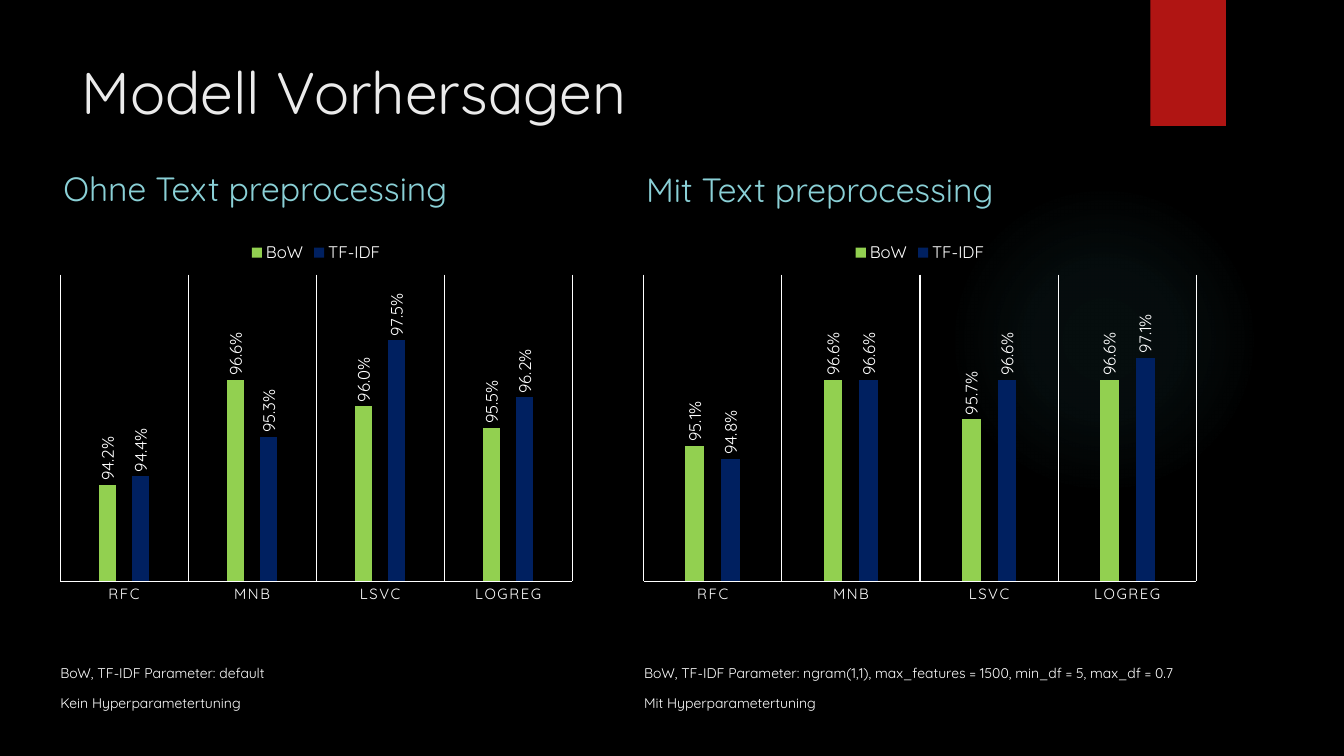
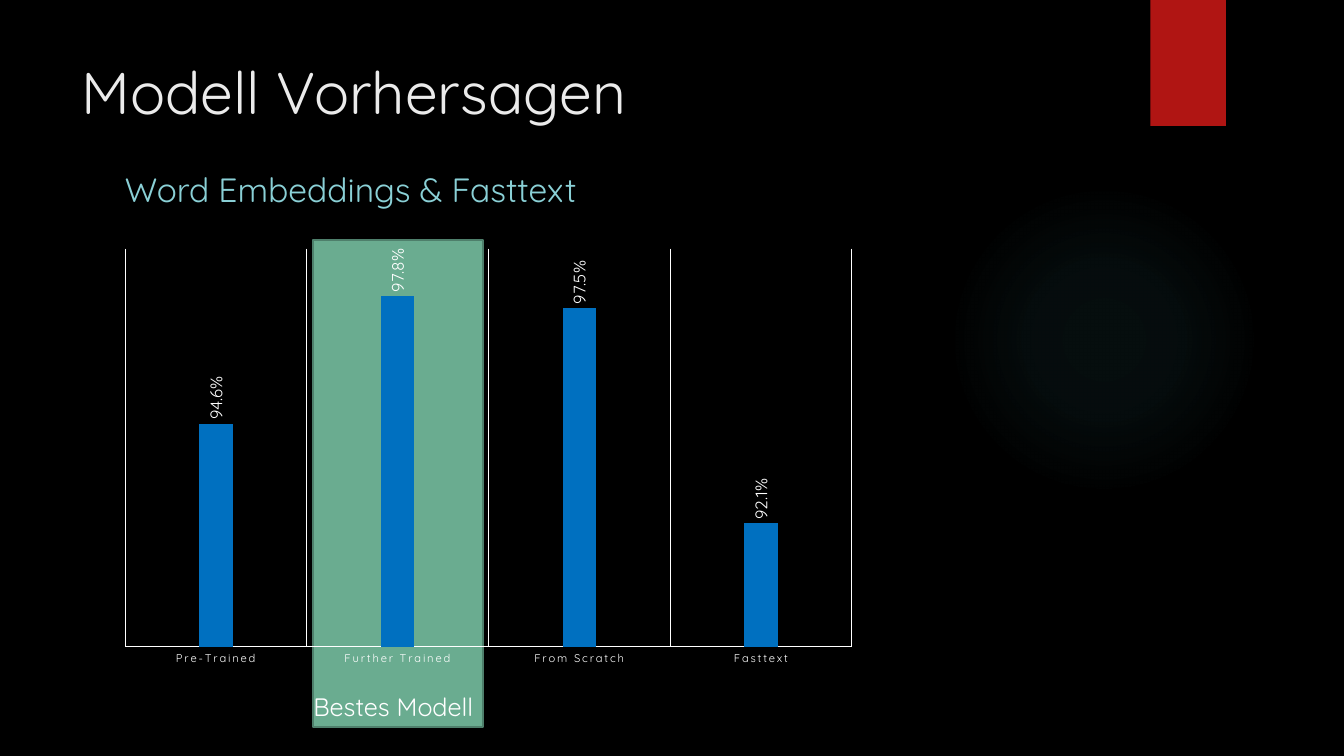
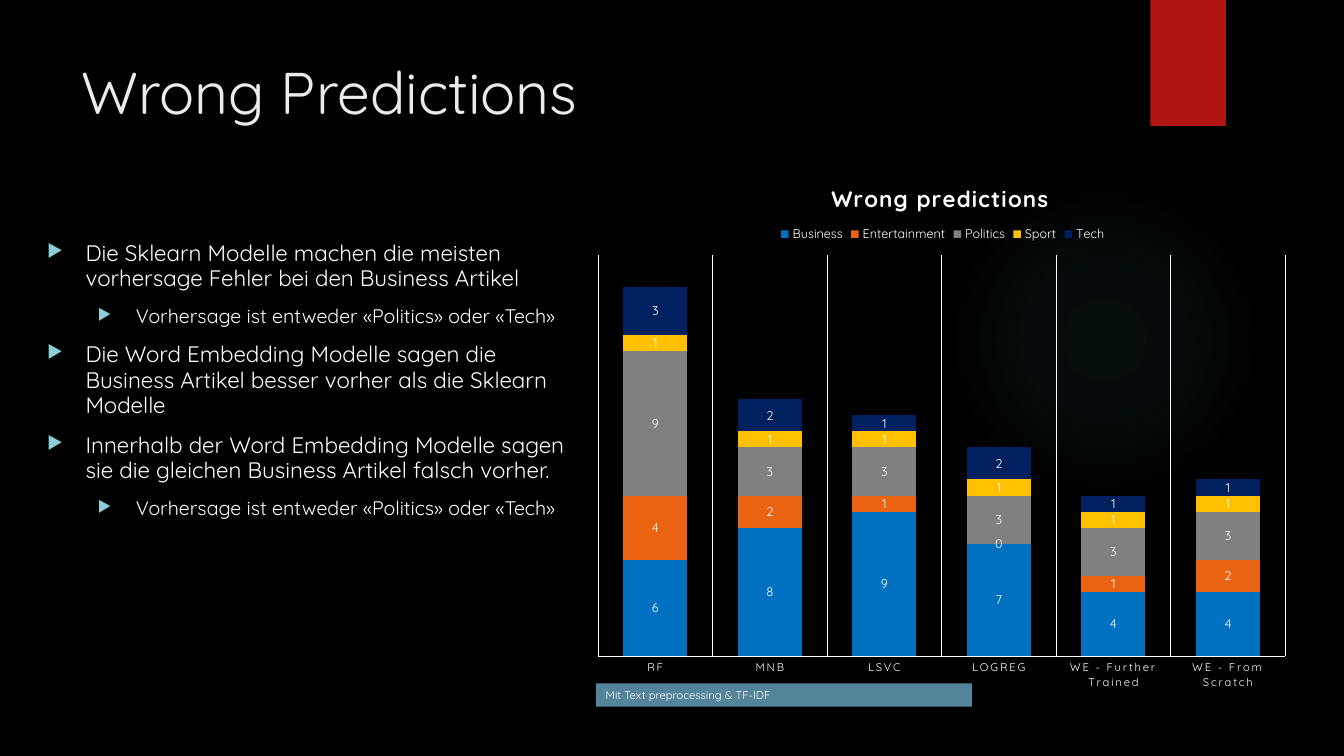
"""Build three slides on the results of text classification models."""
from dataclasses import dataclass

from pptx import Presentation
from pptx import util as u
from pptx.chart import data as chart_data
from pptx.dml.color import RGBColor
from pptx.enum import chart as charts, shapes, text
from pptx.oxml import parse_xml
from pptx.oxml.ns import nsdecls, qn

PX = 9144


@dataclass(frozen=True)
class Theme:
    """Colours and type sizes of the presentation."""
    font: str = "Quicksand"
    background: str = "000000"
    heading: str = "EBEBEB"
    accent: str = "8AD0D6"
    body: str = "FFFFFF"
    tag: str = "B01513"
    glow: str = "50B9C1"
    highlight: str = "6AAC90"
    highlight_line: str = "4E7F6B"
    caption_bar: str = "54849A"
    green: str = "92D050"
    navy: str = "002060"
    blue: str = "0070C0"
    orange: str = "EA6312"
    grey: str = "808080"
    yellow: str = "FFC000"
    title_size: float = 42
    subtitle_size: float = 24
    callout_size: float = 18
    list_sizes: tuple = (16, 14)
    chart_title_size: float = 16
    label_size: float = 12
    axis_size: float = 10.6
    note_size: float = 10
    small_size: float = 9
    tiny_size: float = 8


def apply(target, values):
    """Set each named attribute on the target."""
    for name, value in values.items():
        setattr(target, name, value)


def paint(fill, color):
    """Fill with one solid colour."""
    fill.solid()
    fill.fore_color.rgb = RGBColor.from_string(color)


def place(element, index, x, y, size=None):
    """Give a chart part a manual layout in fractions of the chart."""
    for layout in element.findall(qn("c:layout")):
        element.remove(layout)
    target = '<c:layoutTarget val="inner"/>' if size else ""
    extent = '<c:w val="%s"/><c:h val="%s"/>' % size if size else ""
    element.insert(index, parse_xml(
        f'<c:layout {nsdecls("c")}><c:manualLayout>{target}'
        f'<c:xMode val="edge"/><c:yMode val="edge"/>'
        f'<c:x val="{x}"/><c:y val="{y}"/>{extent}</c:manualLayout></c:layout>'))


class Deck:
    """Holds the style and the current slide."""

    def __init__(self, theme):
        """Start an empty presentation with the shared background."""
        self.theme = theme
        self.presentation = Presentation()
        apply(self.presentation, {"slide_width": 1333 * PX, "slide_height": 750 * PX})
        paint(self.presentation.slide_master.background.fill, theme.background)
        self.slide = None

    def style(self, font, size, color=None, **extra):
        """Apply the deck typeface with a size and a colour."""
        apply(font, {"name": self.theme.font, "size": u.Pt(size), **extra})
        font.color.rgb = RGBColor.from_string(color or self.theme.body)

    def new_slide(self, title):
        """Add a slide with its glow, corner tag and title."""
        self.slide = self.presentation.slides.add_slide(self.presentation.slide_layouts[6])
        self.glow((941, 183, 308, 308))
        self.block((1141, 0, 75, 125), self.theme.tag)
        self.text((71, 50, 1029, 153), [title], self.theme.title_size,
                  self.theme.heading, text.MSO_ANCHOR.TOP)

    def block(self, box, color=None, line=None, kind=shapes.MSO_SHAPE.RECTANGLE):
        """Add a plain shape with an optional outline."""
        shape = self.slide.shapes.add_shape(kind, *(n * PX for n in box))
        shape.shadow.inherit = False
        if color:
            paint(shape.fill, color)
        if line:
            paint(shape.line.fill, line)
            shape.line.width = u.Pt(1.5)
        else:
            shape.line.fill.background()
        return shape

    def glow(self, box):
        """Add a faint radial light."""
        shape = self.block(box, kind=shapes.MSO_SHAPE.OVAL)
        stops = "".join(
            f'<a:gs pos="{position * 1000}"><a:srgbClr val="{self.theme.glow}">'
            f'<a:alpha val="{alpha * 1000}"/></a:srgbClr></a:gs>'
            for position, alpha in ((0, 7), (36, 6), (69, 0)))
        shape.element.spPr.insert(2, parse_xml(
            f'<a:gradFill {nsdecls("a")}><a:gsLst>{stops}</a:gsLst><a:path path="circle">'
            '<a:fillToRect l="50000" t="50000" r="50000" b="50000"/></a:path></a:gradFill>'))

    def label(self, shape, lines, size, color=None, anchor=text.MSO_ANCHOR.BOTTOM):
        """Set left-aligned paragraphs in a shape."""
        frame = shape.text_frame
        apply(frame, {"word_wrap": True, "vertical_anchor": anchor, "text": "\n".join(lines)})
        for paragraph in frame.paragraphs:
            apply(paragraph, {"alignment": text.PP_ALIGN.LEFT, "space_before": u.Pt(10)})
            self.style(paragraph.runs[0].font, size, color)
        return frame

    def text(self, box, lines, size, color=None, anchor=text.MSO_ANCHOR.BOTTOM):
        """Add a text box."""
        shape = self.slide.shapes.add_textbox(*(n * PX for n in box))
        return self.label(shape, lines, size, color, anchor)

    def subtitle(self, box, line):
        """Add an accent-coloured heading."""
        self.text(box, [line], self.theme.subtitle_size, self.theme.accent)

    def bullets(self, box, items):
        """Add a list of (level, line) items with triangle bullets."""
        sizes = self.theme.list_sizes
        frame = self.text(box, [line for _, line in items], sizes[0],
                          anchor=text.MSO_ANCHOR.TOP)
        for (level, _), paragraph in zip(items, frame.paragraphs):
            apply(paragraph, {"level": level, "line_spacing": 0.95})
            paragraph.runs[0].font.size = u.Pt(sizes[level])
            properties = paragraph._p.get_or_add_pPr()
            properties.set("marL", str((38 + 50 * level) * PX))
            properties.set("indent", str(-38 * PX))
            for bullet in (f'<a:buClr {nsdecls("a")}><a:srgbClr val="{self.theme.accent}"/></a:buClr>',
                           f'<a:buSzPct {nsdecls("a")} val="80000"/>',
                           f'<a:buChar {nsdecls("a")} char="▶"/>'):
                properties.append(parse_xml(bullet))

    def chart(self, box, categories, series, scale, axis_size, legend_size=None,
              stacked=False):
        """Add a column chart from (name, colour, values) series."""
        number_format = "General" if stacked else "0.0%"
        source = chart_data.CategoryChartData(number_format=number_format)
        source.categories = categories
        for name, _, values in series:
            source.add_series(name, values)
        kind = charts.XL_CHART_TYPE
        chart = self.slide.shapes.add_chart(
            kind.COLUMN_STACKED if stacked else kind.COLUMN_CLUSTERED,
            *(n * PX for n in box), source).chart
        self.style(chart.font, self.theme.note_size)
        apply(chart, {"has_title": False, "has_legend": bool(legend_size)})
        if legend_size:
            apply(chart.legend, {"position": charts.XL_LEGEND_POSITION.TOP,
                                 "include_in_layout": False})
            self.style(chart.legend.font, legend_size)
        apply(chart.value_axis, {"minimum_scale": scale[0], "maximum_scale": scale[1],
                                 "has_major_gridlines": False, "visible": False})
        axis = chart.category_axis
        apply(axis, {"has_major_gridlines": True,
                     "major_tick_mark": charts.XL_TICK_MARK.NONE})
        for line in (axis.format.line, axis.major_gridlines.format.line):
            paint(line.fill, self.theme.body)
            line.width = u.Pt(0.75)
        self.style(axis.tick_labels.font, axis_size)
        for properties in chart.element.xpath(".//c:catAx/c:txPr//a:defRPr"):
            properties.set("spc", "120")
        plot = chart.plots[0]
        apply(plot, {"gap_width": 79 if stacked else 444,
                     "overlap": 100 if stacked else -90, "vary_by_categories": False})
        position = charts.XL_LABEL_POSITION
        for (_, color, _), columns in zip(series, plot.series):
            paint(columns.format.fill, color)
            labels = columns.data_labels
            apply(labels, {"show_value": True, "number_format": number_format,
                           "number_format_is_linked": False,
                           "position": position.CENTER if stacked else position.OUTSIDE_END})
            self.style(labels.font, self.theme.small_size if stacked else self.theme.label_size)
        if not stacked:
            for body in chart.element.xpath(".//c:dLbls/c:txPr/a:bodyPr"):
                body.set("rot", "-5400000")
                body.set("vert", "horz")
        return chart

    def chart_title(self, chart, title):
        """Add a spaced bold title and fix the layout of the chart below it."""
        chart.has_title = True
        frame = chart.chart_title.text_frame
        frame.text = title
        self.style(frame.paragraphs[0].runs[0].font, self.theme.chart_title_size, bold=True)
        for properties in chart.element.xpath(".//c:title//a:rPr"):
            properties.set("spc", "100")
        for tag, *layout in (("title", 1, 0.34, 0.04), ("legend", 1, 0.27, 0.12),
                             ("plotArea", 0, 0.02, 0.18, (0.96, 0.74))):
            place(chart.element.xpath(f"c:chart/c:{tag}")[0], *layout)


def preprocessing_slide(deck):
    """Compare predictions without and with preprocessing."""
    theme = deck.theme
    deck.new_slide("Modell Vorhersagen")
    panels = (
        ((53, 149, 481, 63), "Ohne Text preprocessing", (50, 648, 571, 63),
         ["BoW, TF-IDF Parameter: default", "Kein Hyperparametertuning"],
         (49, 229, 529, 378),
         (0.942, 0.966, 0.96, 0.955), (0.944, 0.953, 0.975, 0.962)),
        ((631, 150, 481, 63), "Mit Text preprocessing", (629, 648, 571, 63),
         ["BoW, TF-IDF Parameter: ngram(1,1), max_features = 1500, min_df = 5, max_df = 0.7",
          "Mit Hyperparametertuning"],
         (627, 229, 571, 378),
         (0.951, 0.966, 0.957, 0.966), (0.948, 0.966, 0.966, 0.971)),
    )
    for heading_box, heading, note_box, notes, chart_box, bow, tfidf in panels:
        deck.subtitle(heading_box, heading)
        deck.text(note_box, notes, theme.note_size)
        deck.chart(chart_box, ["RFC", "MNB", "LSVC", "LOGREG"],
                   [("BoW", theme.green, bow), ("TF-IDF", theme.navy, tfidf)],
                   (0.92, 0.99), theme.axis_size, theme.label_size)


def embeddings_slide(deck):
    """Show the embedding models and mark the best one."""
    theme = deck.theme
    deck.new_slide("Modell Vorhersagen")
    deck.block((310, 238, 169, 483), theme.highlight, theme.highlight_line)
    deck.subtitle((114, 150, 521, 63), "Word Embeddings & Fasttext")
    deck.chart((109, 238, 751, 431),
               ["Pre-Trained", "Further Trained", "From Scratch", "Fasttext"],
               [("Series 1", theme.blue, (0.946, 0.978, 0.975, 0.921))],
               (0.89, 0.99), theme.tiny_size)
    deck.text((301, 658, 214, 63), ["Bestes Modell"], theme.callout_size)


def errors_slide(deck):
    """Show the wrong predictions by model and topic."""
    theme = deck.theme
    deck.new_slide("Wrong Predictions")
    chart = deck.chart(
        (579, 156, 710, 538),
        ["RF", "MNB", "LSVC", "LOGREG", "WE - Further Trained", "WE - From Scratch"],
        [("Business", theme.blue, (6, 8, 9, 7, 4, 4)),
         ("Entertainment", theme.orange, (4, 2, 1, 0, 1, 2)),
         ("Politics", theme.grey, (9, 3, 3, 3, 3, 3)),
         ("Sport", theme.yellow, (1, 1, 1, 1, 1, 1)),
         ("Tech", theme.navy, (3, 2, 1, 2, 1, 1))],
        (0, 25), theme.tiny_size, theme.small_size, stacked=True)
    deck.chart_title(chart, "Wrong predictions")
    caption = deck.block((591, 678, 373, 23), theme.caption_bar)
    deck.label(caption, ["Mit Text preprocessing & TF-IDF"], theme.tiny_size)
    confusion = (1, "Vorhersage ist entweder «Politics» oder «Tech»")
    deck.bullets((37, 234, 542, 329), [
        (0, "Die Sklearn Modelle machen die meisten vorhersage Fehler bei den Business Artikel"),
        confusion,
        (0, "Die Word Embedding Modelle sagen die Business Artikel besser vorher als die "
            "Sklearn Modelle"),
        (0, "Innerhalb der Word Embedding Modelle sagen sie die gleichen Business Artikel "
            "falsch vorher."),
        confusion])


def main():
    """Build and save the presentation."""
    deck = Deck(Theme())
    for build in (preprocessing_slide, embeddings_slide, errors_slide):
        build(deck)
    deck.presentation.save("out.pptx")


if __name__ == "__main__":
    main()
